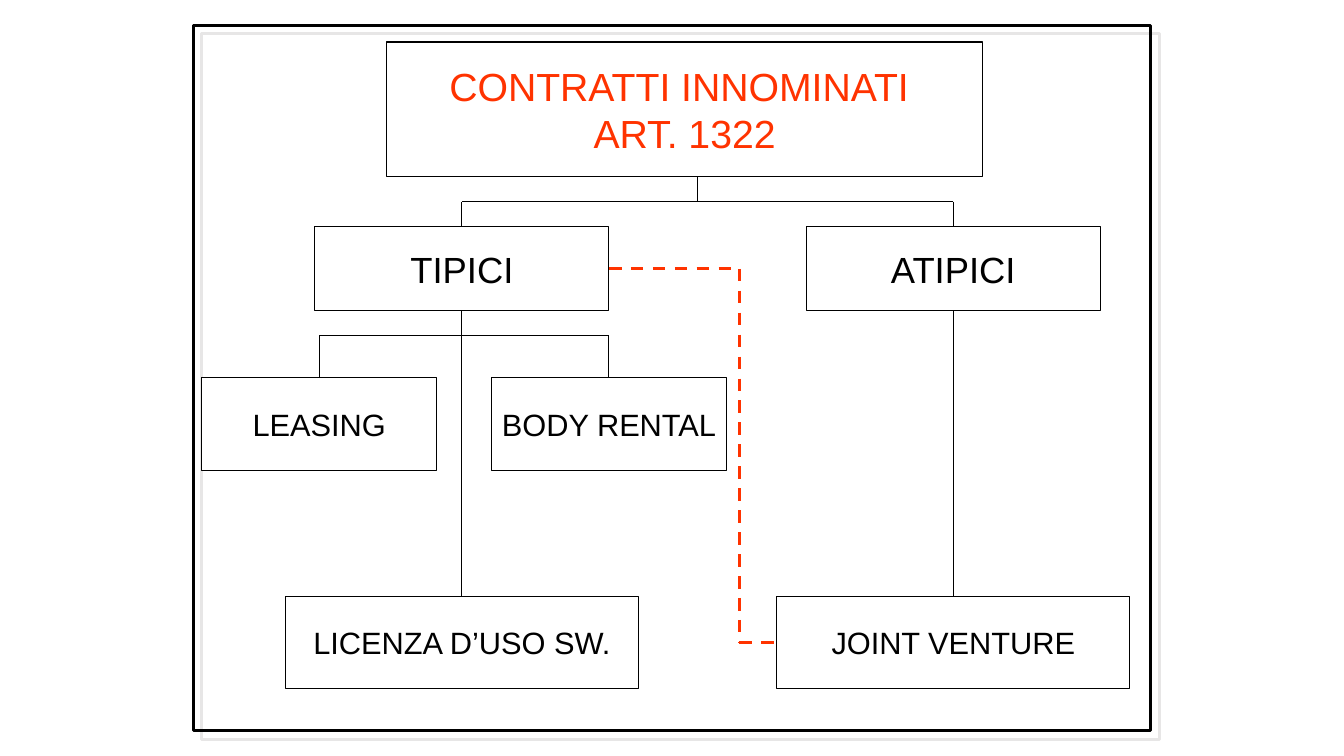
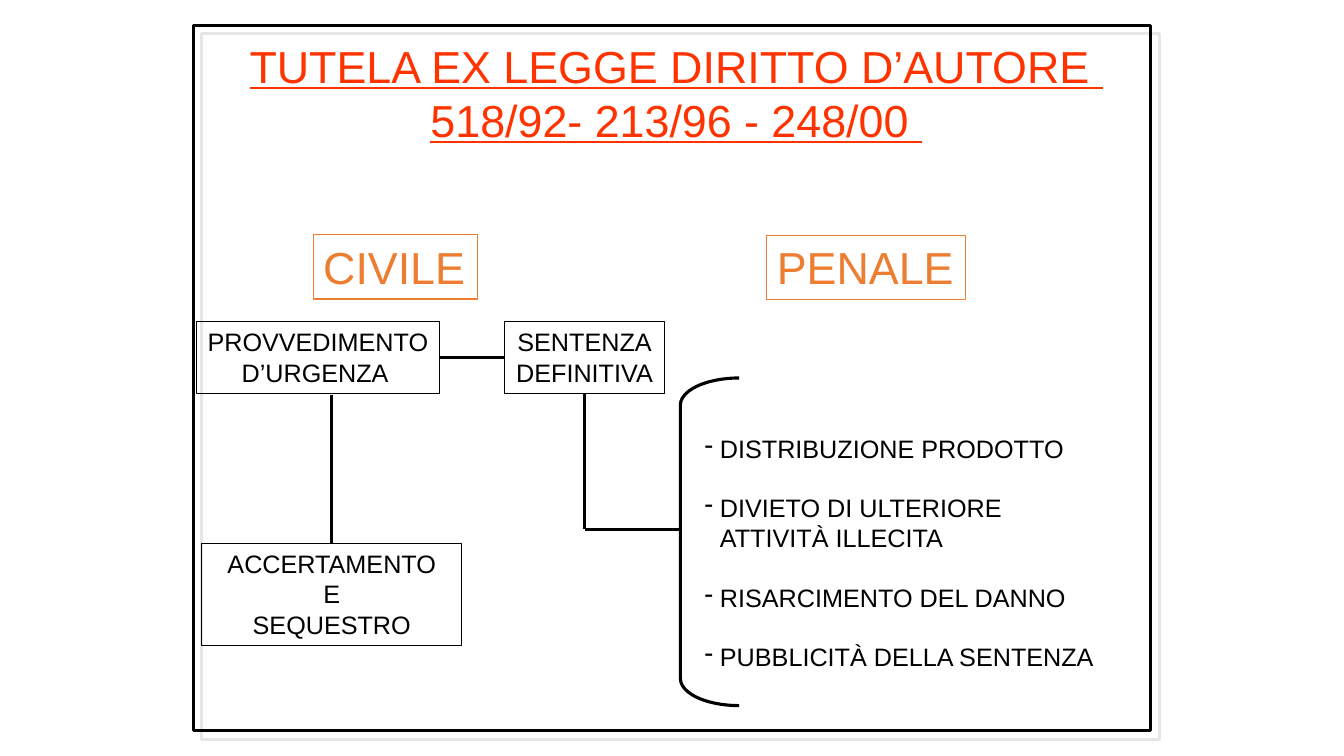
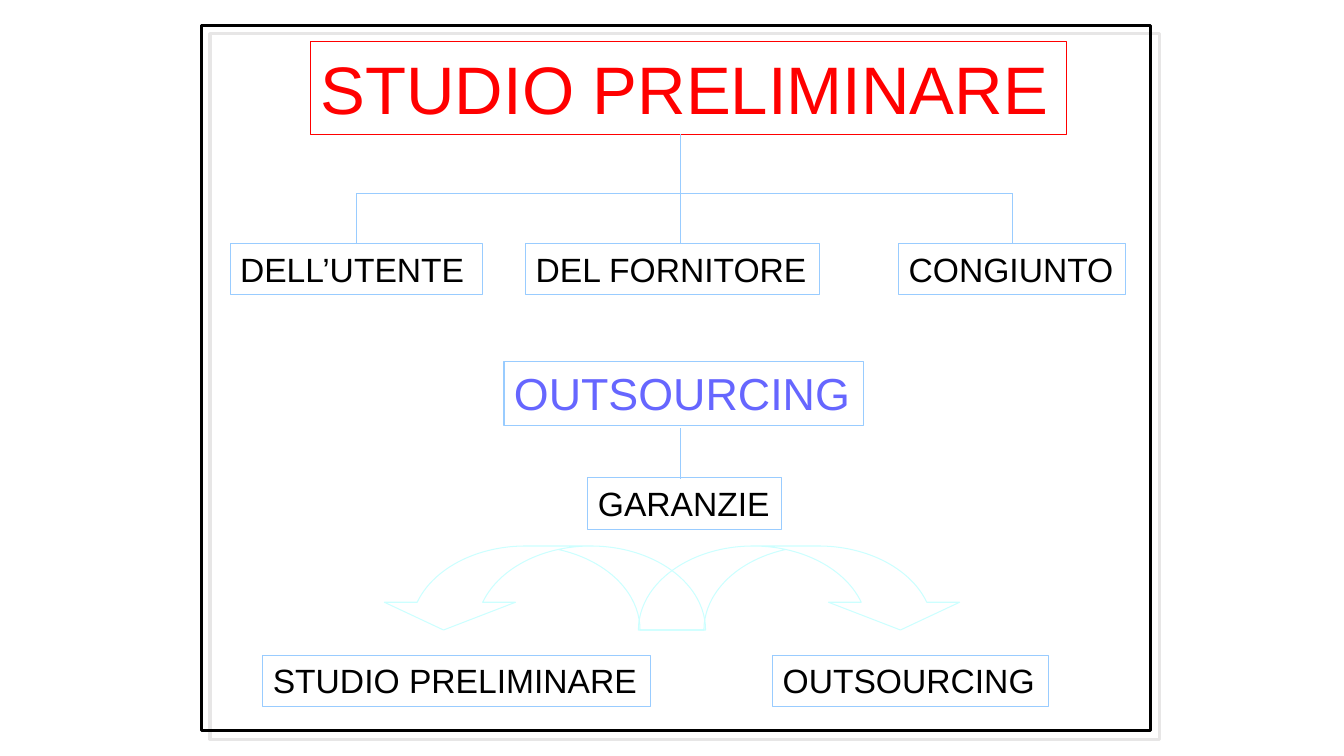
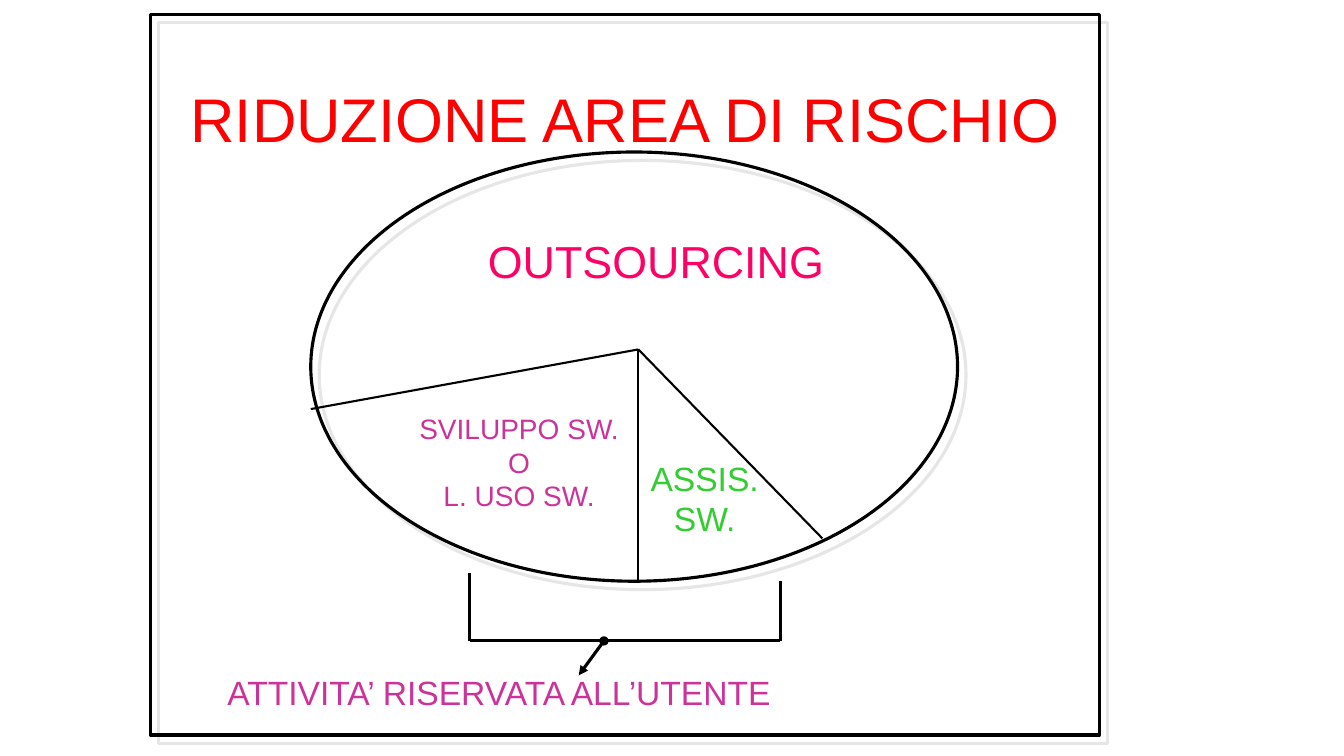
from dataclasses import dataclass
from itertools import pairwise
from typing import Optional

import pptx
import pptx.dml.color
import pptx.enum.dml
import pptx.enum.shapes
import pptx.enum.text
import pptx.oxml.ns
import pptx.util
from lxml import etree

RGBColor = pptx.dml.color.RGBColor
SHAPE = pptx.enum.shapes.MSO_SHAPE
ALIGN = pptx.enum.text.PP_ALIGN
ANCHOR = pptx.enum.text.MSO_ANCHOR
qn = pptx.oxml.ns.qn

BLACK = RGBColor(0x00, 0x00, 0x00)
WHITE = RGBColor(0xFF, 0xFF, 0xFF)
RED = RGBColor(0xFF, 0x00, 0x00)
VERMILION = RGBColor(0xFF, 0x33, 0x00)
ORANGE = RGBColor(0xED, 0x7D, 0x31)
SKY = RGBColor(0x99, 0xCC, 0xFF)
PALE_CYAN = RGBColor(0xCC, 0xFF, 0xFF)
VIOLET = RGBColor(0x66, 0x66, 0xFF)
PINK = RGBColor(0xFF, 0x00, 0x66)
MAGENTA = RGBColor(0xCC, 0x33, 0x99)
GREEN = RGBColor(0x33, 0xCC, 0x33)
SHADOW = RGBColor(0xE7, 0xE6, 0xE6)

FONT = "Arial"
COLS, ROWS = 160, 90
CELL = pptx.util.Pt(6)
THIN, MEDIUM, THICK = 0.75, 1.5, 2.25

Point = tuple[float, float]
Area = tuple[float, float, float, float]  # column, row, columns, rows


@dataclass
class Box:
    area: Area
    text: str
    size: float
    color: RGBColor = BLACK
    border: Optional[RGBColor] = None
    filled: bool = False
    align: ALIGN = ALIGN.LEFT
    anchor: ANCHOR = ANCHOR.TOP
    wrap: bool = False
    underline: bool = False


@dataclass
class Route:
    """Straight connectors through a list of grid points."""
    points: list[Point]
    color: RGBColor = BLACK
    width: float = THIN
    dashed: bool = False
    head: Optional[str] = None
    tail: Optional[str] = None


def cells(*values: float) -> list[int]:
    return [round(v * CELL) for v in values]


def add_child(parent, tag: str, **attrs: str):
    return etree.SubElement(parent, qn(tag), **attrs)


def add_outline(slide, kind: SHAPE, area: Area, color: RGBColor = BLACK,
                width: float = THICK, shadow: bool = False):
    s = slide.shapes.add_shape(kind, *cells(*area))
    s.shadow.inherit = False
    s.fill.background()
    s.line.color.rgb = color
    s.line.width = pptx.util.Pt(width)
    if shadow:
        effects = s._element.spPr.find(qn("a:effectLst"))
        outer = add_child(effects, "a:outerShdw", blurRad="0",
                          dist=str(pptx.util.Pt(8.5)), dir="2700000",
                          algn="ctr", rotWithShape="0")
        add_child(outer, "a:srgbClr", val=str(SHADOW))
    return s


def add_frame(slide, area: Area) -> None:
    add_outline(slide, SHAPE.RECTANGLE, area, shadow=True)


def add_box(slide, box: Box):
    if box.border is None:
        s = slide.shapes.add_textbox(*cells(*box.area))
    else:
        s = add_outline(slide, SHAPE.RECTANGLE, box.area, box.border, THIN)
    if box.filled:
        s.fill.solid()
        s.fill.fore_color.rgb = WHITE
    tf = s.text_frame
    tf.text = box.text
    tf.word_wrap = box.wrap
    tf.vertical_anchor = box.anchor
    for p in tf.paragraphs:
        p.alignment = box.align
        for r in p.runs:
            r.font.name = FONT
            r.font.size = pptx.util.Pt(box.size)
            r.font.color.rgb = box.color
            r.font.underline = box.underline or None
    return s


def add_bullets(slide, box: Box) -> None:
    """A text box with dash bullets, one blank line's height apart."""
    s = add_box(slide, box)
    hang = pptx.util.Pt(11)
    for i, p in enumerate(s.text_frame.paragraphs):
        pPr = p._p.get_or_add_pPr()
        pPr.set("marL", str(hang))
        pPr.set("indent", str(-hang))
        add_child(pPr, "a:buChar", char="-")
        if i:
            p.space_before = pptx.util.Pt(box.size * 1.15)


def find_site(boxes: list, x: int, y: int):
    """The box and side whose middle lies at the point, if there is one."""
    near = CELL / 10
    for s in boxes:
        mid_x, mid_y = s.left + s.width / 2, s.top + s.height / 2
        sides = [(mid_x, s.top), (s.left, mid_y),
                 (mid_x, s.top + s.height), (s.left + s.width, mid_y)]
        for site, (side_x, side_y) in enumerate(sides):
            if abs(side_x - x) <= near and abs(side_y - y) <= near:
                return s, site
    return None


def add_route(slide, route: Route, boxes: list) -> None:
    for start, end in pairwise(route.points):
        start, end = cells(*start), cells(*end)
        c = slide.shapes.add_connector(
            pptx.enum.shapes.MSO_CONNECTOR.STRAIGHT, *start, *end)
        c.line.color.rgb = route.color
        c.line.width = pptx.util.Pt(route.width)
        if route.dashed:
            c.line.dash_style = pptx.enum.dml.MSO_LINE.DASH
        ln = c.line._get_or_add_ln()
        for tag, kind in (("a:headEnd", route.head), ("a:tailEnd", route.tail)):
            if kind:
                add_child(ln, tag, type=kind)
        add_child(c._element.spPr, "a:effectLst")
        if site := find_site(boxes, *start):
            c.begin_connect(*site)
        if site := find_site(boxes, *end):
            c.end_connect(*site)


def add_diagram(slide, boxes: list[Box], routes: list[Route]) -> None:
    shapes = [add_box(slide, box) for box in boxes]
    bordered = [s for s, box in zip(shapes, boxes) if box.border is not None]
    for route in routes:
        add_route(slide, route, bordered)


def contracts_slide(slide) -> None:
    add_frame(slide, (23, 3, 114, 84))

    def node(area: Area, text: str, size: float, color: RGBColor = BLACK) -> Box:
        return Box(area, text, size, color, BLACK, True, ALIGN.CENTER, ANCHOR.MIDDLE)

    left, right = 55, 113.5
    add_diagram(slide, [
        node((46, 5, 71, 16), "CONTRATTI INNOMINATI \nART. 1322", 28, VERMILION),
        node((left - 17.5, 27, 35, 10), "TIPICI", 26),
        node((right - 17.5, 27, 35, 10), "ATIPICI", 26),
        node((24, 45, 28, 11), "LEASING", 22),
        node((58.5, 45, 28, 11), "BODY RENTAL", 22),
        node((left - 21, 71, 42, 11), "LICENZA D’USO SW.", 22),
        node((right - 21, 71, 42, 11), "JOINT VENTURE", 22),
    ], [
        Route([(left, 37), (left, 71)]),
        Route([(38, 45), (38, 40), (72.5, 40), (72.5, 45)]),
        Route([(right, 37), (right, 71)]),
        Route([(left, 27), (left, 24), (right, 24), (right, 27)]),
        Route([(83, 24), (83, 21)]),
        Route([(72.5, 32), (88, 32), (88, 76.5), (92.5, 76.5)],
              VERMILION, THICK, dashed=True),
    ])


def copyright_slide(slide) -> None:
    add_frame(slide, (23, 3, 114, 84))

    def step(area: Area, text: str) -> Box:
        return Box(area, text, 18, border=BLACK, align=ALIGN.CENTER)

    add_diagram(slide, [
        Box((24, 4, 113, 14),
            "TUTELA EX LEGGE DIRITTO D’AUTORE \n518/92- 213/96 - 248/00 ",
            32, VERMILION, align=ALIGN.CENTER, wrap=True, underline=True),
        Box((37.3, 27.9, 19.5, 7.7), "CIVILE", 32, ORANGE, ORANGE, True),
        Box((91.3, 28, 23.7, 7.7), "PENALE", 32, ORANGE, ORANGE, True),
        step((23.4, 38.3, 28.9, 8.5), "PROVVEDIMENTO\nD’URGENZA "),
        step((24, 64.7, 31, 12.1), "ACCERTAMENTO\nE\nSEQUESTRO"),
        step((60.1, 38.3, 19, 8.5), "SENTENZA\nDEFINITIVA"),
    ], [
        Route([(52.3, 42.55), (60.1, 42.55)], width=THICK),
        Route([(39.5, 47), (39.5, 64.7)], width=THICK),
        Route([(69.6, 46.8), (69.6, 63), (81, 63)], width=THICK),
    ])
    add_bullets(slide, Box(
        (82.7, 51, 49.2, 30.2),
        "DISTRIBUZIONE PRODOTTO\n"
        "DIVIETO DI ULTERIORE\vATTIVITÀ ILLECITA\n"
        "RISARCIMENTO DEL DANNO\n"
        "PUBBLICITÀ DELLA SENTENZA", 18))
    bracket = add_outline(slide, SHAPE.LEFT_BRACKET, (81, 45, 7, 39))
    bracket.adjustments[0] = 0.46


def study_slide(slide) -> None:
    add_frame(slide, (24, 3, 113, 84))

    def label(col: float, row: float, width: float, text: str) -> Box:
        return Box((col, row, width, 6.1), text, 24, border=SKY)

    left, middle, right = 42.45, 81, 120.5
    add_diagram(slide, [
        Box((37, 5, 90, 11), "STUDIO PRELIMINARE", 48, RED, RED),
        label(27.4, 29, 30.1, "DELL’UTENTE"),
        label(62.6, 29, 35, "DEL FORNITORE"),
        label(107, 29, 27, "CONGIUNTO"),
        Box((60, 43, 42.8, 7.7), "OUTSOURCING", 32, VIOLET, SKY),
        label(70, 56.9, 23, "GARANZIE"),
        label(31.3, 78, 46.2, "STUDIO PRELIMINARE"),
        label(92, 78, 32.8, "OUTSOURCING"),
    ], [
        Route([(middle, 16), (middle, 29)], SKY),
        Route([(left, 29), (left, 23), (right, 23), (right, 29)], SKY),
        Route([(middle, 51), (middle, 57)], SKY),
    ])
    for col, flipped in ((76, False), (45, True)):
        arrow = add_outline(slide, SHAPE.CURVED_DOWN_ARROW, (col, 65, 39, 10),
                            PALE_CYAN, THIN)
        for i, value in enumerate((0.78, 1.56, 0.33)):
            arrow.adjustments[i] = value
        if flipped:
            arrow._element.spPr.xfrm.set("flipH", "1")


def risk_slide(slide) -> None:
    add_frame(slide, (17.9, 1.7, 113, 85.8))
    add_outline(slide, SHAPE.OVAL, (37, 18.1, 77, 51.1), shadow=True)
    hub = (76, 41.6)
    slices = [Route([hub, rim], width=MEDIUM)
              for rim in ((97.9, 64.1), (37, 48.7), (76, 69.2))]
    add_diagram(slide, [
        Box((21.5, 9, 109.1, 10.3), "RIDUZIONE AREA DI RISCHIO", 44, RED),
        Box((56.9, 27.2, 42.8, 7.8), "OUTSOURCING", 32, PINK),
        Box((46.9, 48.4, 29.8, 13.4), "SVILUPPO SW.\nO\nL. USO SW.", 20, MAGENTA,
            align=ALIGN.CENTER, wrap=True),
        Box((71.9, 53.9, 24, 11.2), "ASSIS.\nSW.", 24, GREEN,
            align=ALIGN.CENTER, wrap=True),
        Box((25.9, 79.4, 67.7, 6.2), "ATTIVITA’ RISERVATA ALL’UTENTE", 24, MAGENTA),
    ], slices + [
        Route([(55.9, 68.2), (55.9, 76.3), (92.9, 76.3), (92.9, 69.2)], width=THICK),
        Route([(71.9, 76.3), (68.9, 80.4)], width=THICK, head="oval", tail="triangle"),
    ])


def main() -> None:
    prs = pptx.Presentation()
    prs.slide_width, prs.slide_height = COLS * CELL, ROWS * CELL
    for build in (contracts_slide, copyright_slide, study_slide, risk_slide):
        build(prs.slides.add_slide(prs.slide_layouts[6]))
    prs.save("out.pptx")


if __name__ == "__main__":
    main()
